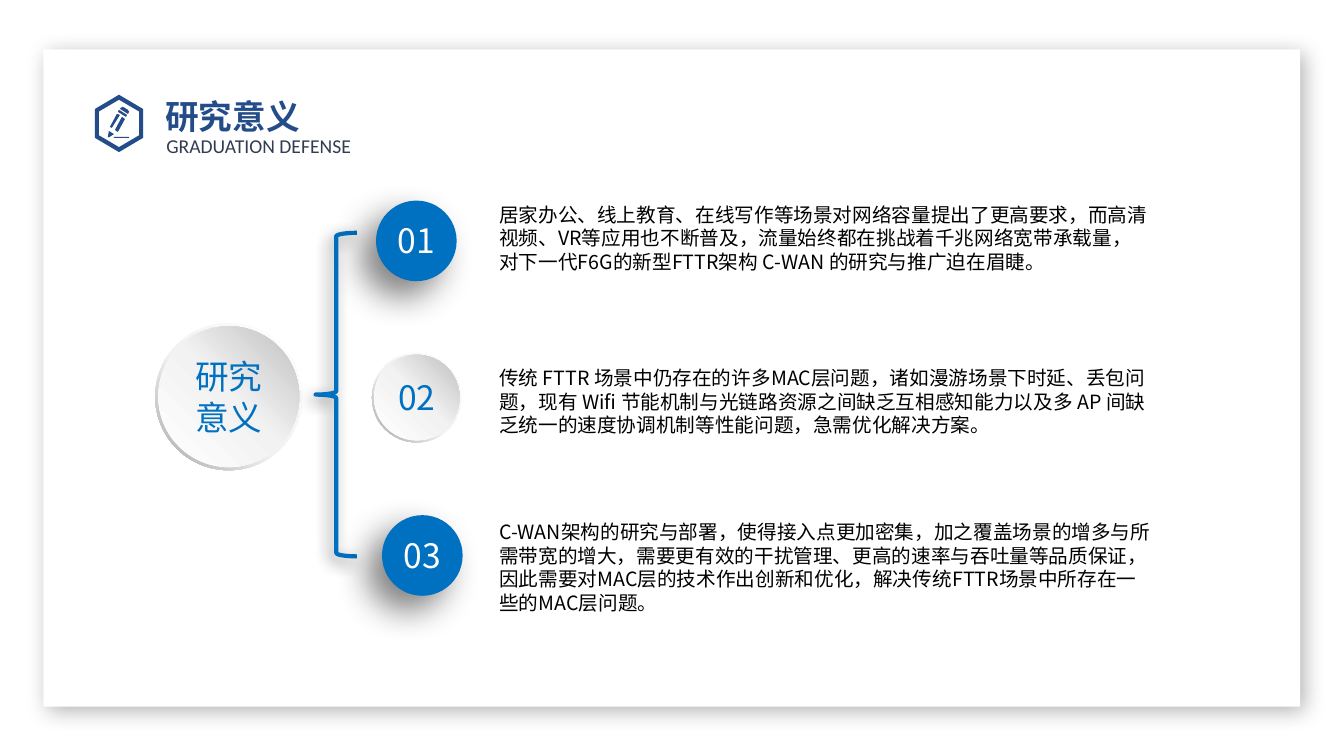
from lxml import etree
from pptx import Presentation
from pptx import util as u
from pptx.dml.color import RGBColor
from pptx.enum import shapes, text
from pptx.oxml import ns

Pt = u.Pt
Kind = shapes.MSO_SHAPE
Align = text.PP_ALIGN


def color(hex_string):
    return RGBColor.from_string(hex_string)


class SlideBuilder:
    navy = "244C89"
    blue = "0070C0"
    white = "FFFFFF"
    cjk = "Noto Sans CJK SC"
    rim = ([(0, "FFFFFF"), (55, "F2F2F2"), (100, "A6A6A6")], 225)
    face = ([(0, "FFFFFF"), (51, "F2F2F2"), (100, "BFBFBF")], 45)

    def __init__(self, presentation):
        self.slide = presentation.slides.add_slide(presentation.slide_layouts[5])
        self.shapes = self.slide.shapes

    def start_group(self):
        self.shapes = self.slide.shapes.add_group_shape().shapes

    def end_group(self):
        self.shapes = self.slide.shapes

    def shape(self, kind, left, top, width, height, fill=None, line=None, shadow=None):
        shape = self.shapes.add_shape(kind, Pt(left), Pt(top), Pt(width), Pt(height))
        self.paint(shape, fill)
        if line:
            shape.line.color.rgb = color(line)
            shape.line.width = Pt(3)
        if shadow:
            self.cast_shadow(shape, *shadow)
        return shape

    def paint(self, shape, fill):
        shape.shadow.inherit = False
        shape.line.fill.background()
        if fill is None:
            shape.fill.background()
        elif isinstance(fill, str):
            shape.fill.solid()
            shape.fill.fore_color.rgb = color(fill)
        else:
            stops, angle = fill
            shape.fill.gradient()
            shape.fill.gradient_angle = angle
            stop_list = shape.element.spPr.find(".//" + ns.qn("a:gsLst"))
            for stop in list(stop_list):
                stop_list.remove(stop)
            for position, value in stops:
                stop = etree.SubElement(stop_list, ns.qn("a:gs"), pos=str(position * 1000))
                etree.SubElement(stop, ns.qn("a:srgbClr"), val=value)

    def cast_shadow(self, shape, opacity, blur, distance, angle):
        effects = shape.element.spPr.find(ns.qn("a:effectLst"))
        shadow = etree.SubElement(
            effects, ns.qn("a:outerShdw"), blurRad=str(Pt(blur)), dist=str(Pt(distance)),
            dir=str(angle * 60000), algn="ctr", rotWithShape="0")
        shade = etree.SubElement(shadow, ns.qn("a:srgbClr"), val="000000")
        etree.SubElement(shade, ns.qn("a:alpha"), val=str(opacity * 1000))

    def add_text(self, shape, lines, size, ink, font=cjk, align=Align.LEFT,
                 spacing=None, bold=False, anchor=text.MSO_ANCHOR.TOP):
        frame = shape.text_frame
        frame.word_wrap = True
        frame.vertical_anchor = anchor
        for index, line in enumerate(lines):
            paragraph = frame.add_paragraph() if index else frame.paragraphs[0]
            paragraph.alignment = align
            paragraph.space_before = Pt(0)
            paragraph.line_spacing = spacing or Pt(size * 1.2)
            run = paragraph.add_run()
            run.text = line
            run.font.size = Pt(size)
            run.font.bold = bold
            run.font.name = font
            run.font.color.rgb = color(ink)
            properties = run._r.get_or_add_rPr()
            etree.SubElement(properties, ns.qn("a:ea"), typeface=self.cjk)

    def text_box(self, left, top, width, height, lines, size, ink, **style):
        box = self.shapes.add_textbox(Pt(left), Pt(top), Pt(width), Pt(height))
        self.add_text(box, lines, size, ink, **style)
        return box

    def title(self, left, top, width, height, words):
        title = self.slide.shapes.title
        title.element.getparent().append(title.element)
        title.left, title.top, title.width, title.height = map(Pt, (left, top, width, height))
        self.add_text(title, [words], 24, self.navy, font="Roboto", spacing=1.2, bold=True)
        title.text_frame.auto_size = text.MSO_AUTO_SIZE.NONE

    def outline(self, contours, fill):
        builder = None
        for contour in contours:
            points = [(round(x * 100), round(y * 100)) for x, y in contour]
            if builder is None:
                builder = self.shapes.build_freeform(*points[0], scale=Pt(0.01))
            else:
                builder.move_to(*points[0])
            builder.add_line_segments(points[1:], close=True)
        self.paint(builder.convert_to_shape(), fill)

    def raised_disc(self, left, top, size, inset):
        ring = self.shape(Kind.DONUT, left, top, size, size, self.rim)
        ring.adjustments[0] = 0.049
        inner = size - 2 * inset
        return self.shape(Kind.OVAL, left + inset, top + inset, inner, inner, self.face)


def hexagon(half_width, half_height):
    x, y = 85, 88.2
    corners = [(0, -1), (1, -0.5), (1, 0.5), (0, 1), (-1, 0.5), (-1, -0.5)]
    return [(x + half_width * across, y + half_height * down) for across, down in corners]


PENCIL = [
    [(81.4, 97.9), (92.2, 97.9), (92.2, 98.6), (81.4, 98.6)],
    [(82.1, 92.9), (87.1, 83.5), (89.3, 85), (84.2, 94.3)],
    [(78.5, 90.7), (83.5, 81.4), (85.7, 82.1), (79.9, 91.4)],
    [(77, 97.9), (77.8, 93.6), (81.4, 95.8), (77.8, 98.2)],
    [(85, 78.5), (84.2, 79.9), (90, 83.5), (90.7, 82.1)],
    [(86.4, 77), (87.8, 76.3), (91.4, 78.5), (92.2, 79.9), (91.4, 81.4), (85.7, 77.8)],
]

REASONS = [
    ("01", 268.6, 143.3, 141.1,
     "居家办公、线上教育、在线写作等场景对网络容量提出了更高要求，而高清视频、VR等应用也不断普及，"
     "流量始终都在挑战着千兆网络宽带承载量，对下一代F6G的新型FTTR架构 C-WAN 的研究与推广迫在眉睫。"),
    ("02", 265.7, 252, 257.8,
     "传统 FTTR 场景中仍存在的许多MAC层问题，诸如漫游场景下时延、丢包问题，现有 Wifi "
     "节能机制与光链路资源之间缺乏互相感知能力以及多 AP 间缺乏统一的速度协调机制等性能问题，急需优化解决方案。"),
    ("03", 272.9, 368, 368,
     "C-WAN架构的研究与部署，使得接入点更加密集，加之覆盖场景的增多与所需带宽的增大，"
     "需要更有效的干扰管理、更高的速率与吞吐量等品质保证，因此需要对MAC层的技术作出创新和优化，"
     "解决传统FTTR场景中所存在一些的MAC层问题。"),
]


def main():
    presentation = Presentation()
    presentation.slide_width, presentation.slide_height = Pt(960), Pt(540)
    page = SlideBuilder(presentation)

    page.shape(Kind.RECTANGLE, 31, 35.3, 897.8, 469.4, page.white, shadow=(30, 15, 5, 45))
    page.outline([hexagon(17.3, 20.5), hexagon(14.4, 16.9)] + PENCIL, page.navy)
    subtitle = page.text_box(118.8, 89.3, 156.2, 24.5, ["GRADUATION DEFENSE"], 14, "313D51",
                             font="Calibri", spacing=Pt(23))
    frame = subtitle.text_frame
    frame.margin_left = frame.margin_top = frame.margin_right = Pt(0)
    page.title(110.9, 59, 285.8, 36, "研究意义")

    page.start_group()
    hub = page.raised_disc(110.9, 230.8, 105.1, 2.2)
    page.add_text(hub, ["研究", "意义"], 24, page.blue, align=Align.CENTER,
                  anchor=text.MSO_ANCHOR.MIDDLE)
    page.end_group()
    page.shape(Kind.LEFT_BRACE, 225.4, 166.3, 29.5, 231.1, line=page.blue,
               shadow=(50, 11, 5, 135))

    for number, left, top, text_top, reason in REASONS:
        raised = number == "02"
        size = 64 if raised else 57.6
        page.start_group()
        if raised:
            page.raised_disc(left, top, size, 1.4)
        else:
            page.shape(Kind.OVAL, left, top, size, size, page.blue, shadow=(50, 25, 15, 135))
        page.text_box(left + size / 2 - 40.3, top + size / 2 - 18.3, 80.6, 36, [number], 24,
                      page.blue if raised else page.white, align=Align.CENTER)
        page.end_group()
        page.text_box(349.5, text_top, 480.2, 58.3, [reason], 14, "000000")

    presentation.save("out.pptx")


if __name__ == "__main__":
    main()
